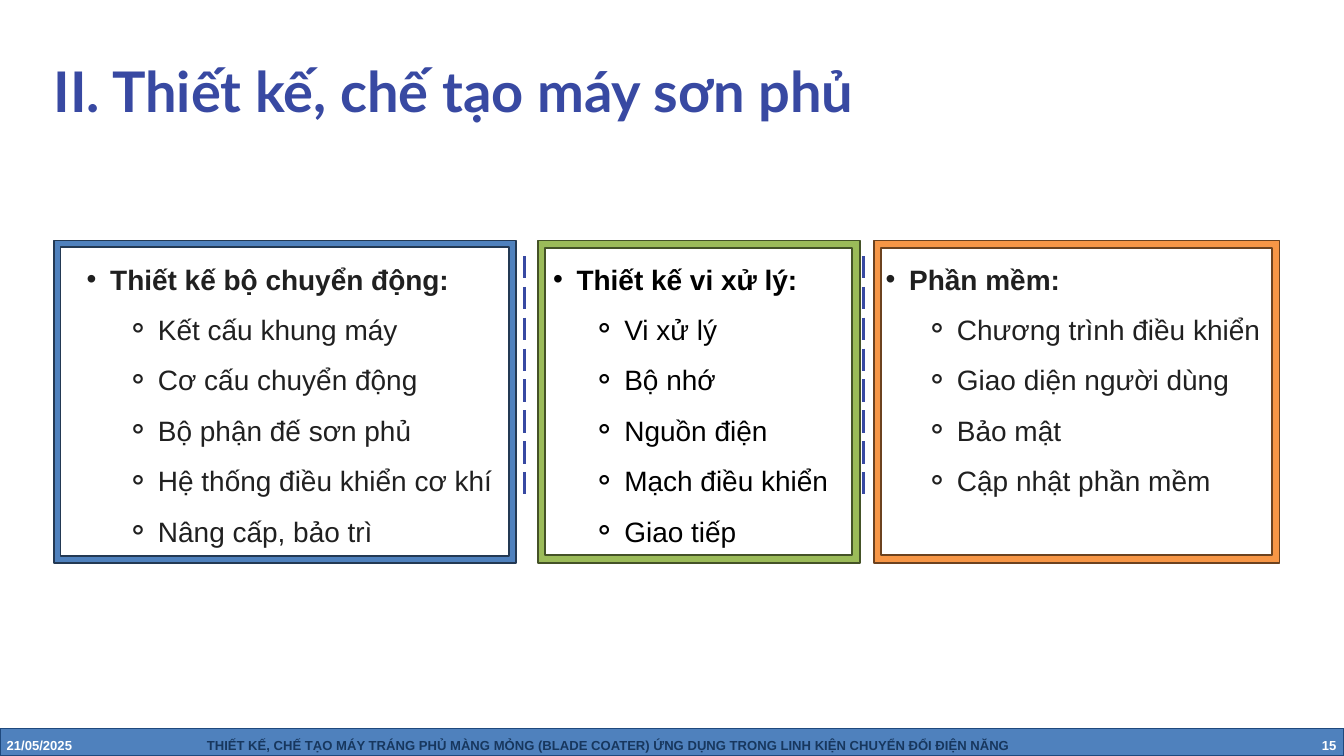
from lxml import etree
from pptx import Presentation
from pptx.dml.color import RGBColor
from pptx.enum.dml import MSO_LINE
from pptx.enum.shapes import MSO_CONNECTOR, MSO_SHAPE
from pptx.enum.text import MSO_ANCHOR, MSO_AUTO_SIZE, PP_ALIGN
from pptx.oxml.ns import qn
from pptx.util import Inches, Pt

COMPARISON_LAYOUT = 4
LEFT, JUSTIFY = PP_ALIGN.LEFT, PP_ALIGN.JUSTIFY
TOP, MIDDLE = MSO_ANCHOR.TOP, MSO_ANCHOR.MIDDLE
FRAME, RECTANGLE = MSO_SHAPE.FRAME, MSO_SHAPE.RECTANGLE
INDIGO, BLUE, WHITE, DARK = "3849A2", "4F81BD", "FFFFFF", "202020"
FRAME_TOP, FRAME_HEIGHT, LIST_TOP = 3.58, 4.8, 3.65

# heading, items, list left and width, text colour, alignment
LISTS = [
    ("Thiết kế bộ chuyển động:",
     ["Kết cấu khung máy", "Cơ cấu chuyển động", "Bộ phận đế sơn phủ",
      "Hệ thống điều khiển cơ khí", "Nâng cấp, bảo trì"],
     0.93, 6.45, DARK, JUSTIFY),
    ("Thiết kế vi xử lý:",
     ["Vi xử lý", "Bộ nhớ", "Nguồn điện", "Mạch điều khiển", "Giao tiếp"],
     7.87, 4.47, "000000", LEFT),
    ("Phần mềm:",
     ["Chương trình điều khiển", "Giao diện người dùng", "Bảo mật",
      "Cập nhật phần mềm"],
     12.82, 5.95, DARK, JUSTIFY),
]
# left, width, border thickness, fill, line
FRAMES = [
    (0.8, 6.88, 0.021, BLUE, "233953"),
    (8, 4.8, 0.024, "9BBB59", "445227"),
    (13, 6.04, 0.024, "F79646", "6C421F"),
]
DIVIDERS = [7.81, 12.85]


def color(hex_string):
    return RGBColor.from_string(hex_string)


def set_font(font, name, size, hex_string, bold):
    font.name = name
    font.size = Pt(size)
    font.bold = bold
    font.color.rgb = color(hex_string)


def place(placeholder, left, top, width, height):
    """Move a placeholder and give it a plain text frame without insets."""
    placeholder.left, placeholder.top = Inches(left), Inches(top)
    placeholder.width, placeholder.height = Inches(width), Inches(height)
    frame = placeholder.text_frame
    frame.margin_left = frame.margin_right = 0
    frame.margin_top = frame.margin_bottom = 0
    frame.word_wrap = True
    frame.auto_size = MSO_AUTO_SIZE.NONE
    frame.vertical_anchor = TOP
    return frame


def fill_title(title):
    frame = place(title, 0.8, 0.54, 17.63, 1.08)
    paragraph = frame.paragraphs[0]
    paragraph.text = "II. Thiết kế, chế tạo máy sơn phủ"
    paragraph.alignment = LEFT
    paragraph.line_spacing = 1.3
    set_font(paragraph.font, "Lato", 60, INDIGO, True)


def add_bullet(paragraph, character, hex_string, margin, indent):
    properties = paragraph._p.get_or_add_pPr()
    properties.set("marL", str(Inches(margin)))
    properties.set("indent", str(Inches(indent)))
    bullet_color = etree.SubElement(properties, qn("a:buClr"))
    etree.SubElement(bullet_color, qn("a:srgbClr"), val=hex_string)
    etree.SubElement(properties, qn("a:buFont"), typeface="Arial")
    etree.SubElement(properties, qn("a:buChar"), char=character)


def fill_list(body, heading, items, left, width, hex_string, alignment):
    frame = place(body, left, LIST_TOP, width, 4.42)
    for index, text in enumerate([heading, *items]):
        is_heading = index == 0
        paragraph = frame.paragraphs[0] if is_heading else frame.add_paragraph()
        paragraph.text = text
        paragraph.level = 0 if is_heading else 1
        paragraph.alignment = alignment
        paragraph.line_spacing = 1.5
        paragraph.space_before = Pt(0)
        bullet = ("•", hex_string, 0.71, -0.35) if is_heading else ("⚬", hex_string, 1.42, -0.47)
        add_bullet(paragraph, *bullet)
        set_font(paragraph.font, "Arial", 30, hex_string, is_heading)


def add_divider(slide, x):
    line = slide.shapes.add_connector(
        MSO_CONNECTOR.STRAIGHT, Inches(x), Inches(3.81), Inches(x), Inches(7.44))
    line.line.color.rgb = color(INDIGO)
    line.line.width = Pt(3)
    line.line.dash_style = MSO_LINE.LONG_DASH
    etree.SubElement(line._element.spPr, qn("a:effectLst"))


def add_filled_shape(slide, kind, left, top, width, height, fill, line):
    shape = slide.shapes.add_shape(
        kind, Inches(left), Inches(top), Inches(width), Inches(height))
    shape.shadow.inherit = False
    shape.fill.solid()
    shape.fill.fore_color.rgb = color(fill)
    shape.line.color.rgb = color(line)
    shape.line.width = Pt(2)
    return shape


def add_footer(slide):
    """Add the bottom bar: date, topic and page number, set apart by tabs."""
    bar = add_filled_shape(slide, RECTANGLE, 0, 10.84, 20, 0.41, BLUE, "1F497D")
    bar.text_frame.word_wrap = True
    bar.text_frame.vertical_anchor = MIDDLE
    paragraph = bar.text_frame.paragraphs[0]
    paragraph.alignment = LEFT
    paragraph.line_spacing = 1.4
    tabs = etree.SubElement(paragraph._p.get_or_add_pPr(), qn("a:tabLst"))
    for position, alignment in [(2.98, "l"), (19.79, "r")]:
        etree.SubElement(tabs, qn("a:tab"), pos=str(Inches(position)), algn=alignment)
    set_font(paragraph.font, "Arial", 14, WHITE, True)
    topic = ("THIẾT KẾ, CHẾ TẠO MÁY TRÁNG PHỦ MÀNG MỎNG (BLADE COATER) "
             "ỨNG DỤNG TRONG LINH KIỆN CHUYỂN ĐỔI ĐIỆN NĂNG")
    for text, hex_string in [("21/05/2025\t", WHITE), (topic, "17375E"), ("\t15", WHITE)]:
        run = paragraph.add_run()
        run.text = text
        run.font.color.rgb = color(hex_string)


def main():
    presentation = Presentation()
    presentation.slide_width = Inches(20)
    presentation.slide_height = Inches(11.25)
    slide = presentation.slides.add_slide(presentation.slide_layouts[COMPARISON_LAYOUT])

    title, *bodies = slide.placeholders
    fill_title(title)
    for body, content in zip(bodies, LISTS):
        fill_list(body, *content)
    for unused in bodies[len(LISTS):]:
        unused._element.getparent().remove(unused._element)

    for x in DIVIDERS:
        add_divider(slide, x)
    for left, width, thickness, fill, line in FRAMES:
        frame = add_filled_shape(
            slide, FRAME, left, FRAME_TOP, width, FRAME_HEIGHT, fill, line)
        frame.adjustments[0] = thickness
    add_footer(slide)
    presentation.save("out.pptx")


if __name__ == "__main__":
    main()
